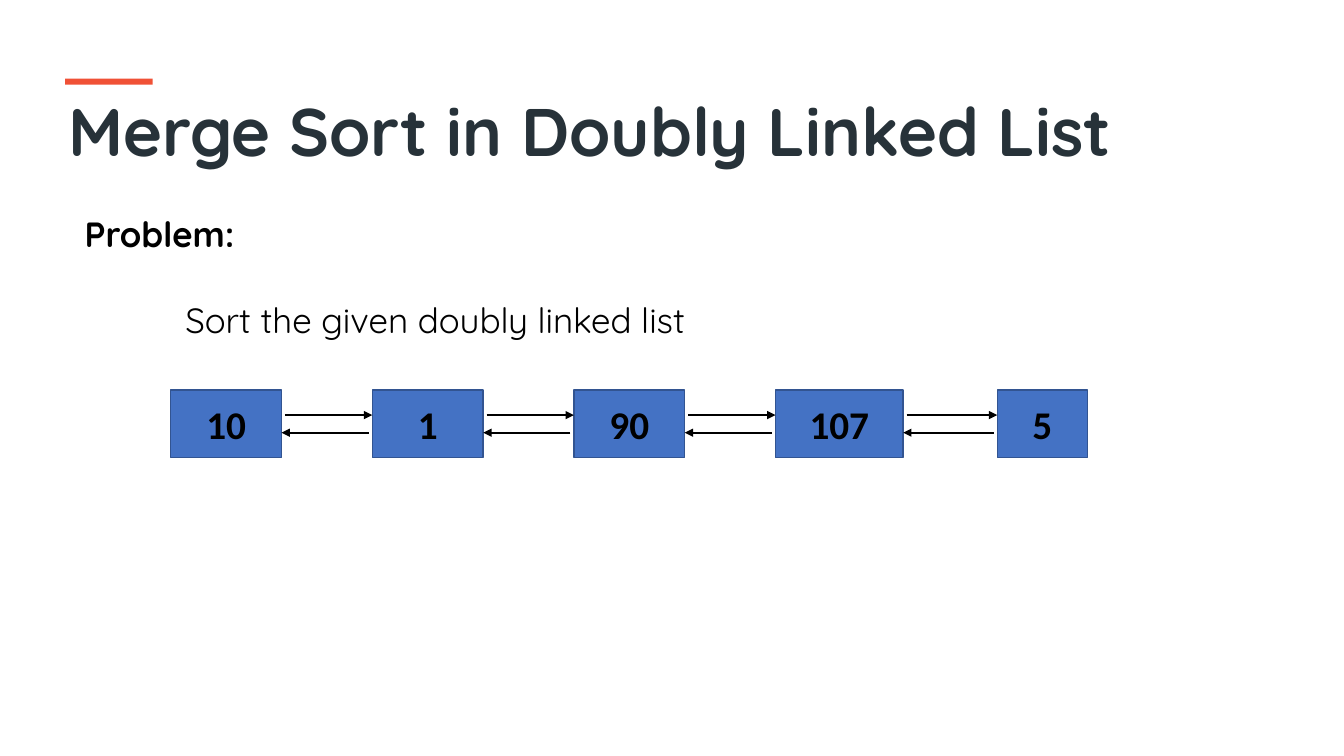
import itertools

import pptx
import pptx.chart.data
import pptx.dml.color
import pptx.enum.shapes
import pptx.enum.text
import pptx.oxml
import pptx.oxml.ns
import pptx.util

HUES = {"title": "273239", "bar": "F05136", "node": "4472C4", "edge": "325491", "ink": "000000"}
WIDE, HIGH = pptx.util.Inches(13.33), pptx.util.Inches(7.5)
NODES = [("10", 0, 8.25), ("1", 15, 8.25), ("90", 30, 8.25), ("107", 45, 9.5), ("5", 61.5, 6.7)]


def hue(name):
    return pptx.dml.color.RGBColor.from_string(HUES[name])


def place(x, y, w, h):
    return [round(size * part / 100) for size, part in zip((WIDE, HIGH, WIDE, HIGH), (x, y, w, h))]


def style(par, face, size, tone, bold=True):
    for run in par.runs:
        run.font.name = face
        run.font.size = pptx.util.Pt(size)
        run.font.bold = bold
        run.font.color.rgb = hue(tone)


def block(slide, box, fill, edge=None):
    shape = slide.shapes.add_shape(pptx.enum.shapes.MSO_SHAPE.RECTANGLE, *place(*box))
    shape.shadow.inherit = False
    shape.fill.solid()
    shape.fill.fore_color.rgb = hue(fill)
    if edge:
        shape.line.color.rgb = hue(edge)
        shape.line.width = pptx.util.Pt(1)
    else:
        shape.line.fill.background()
    return shape


def write(slide, box, text):
    frame = slide.shapes.add_textbox(*place(*box)).text_frame
    frame.word_wrap = True
    frame.text = text
    return frame


def header(slide, box):
    x, y, w, h = box
    block(slide, (x + 0.5, y, 6.5, 0.8), "bar")
    frame = write(slide, (x, y + 0.8, w, h - 0.8), "Merge Sort in Doubly Linked List")
    style(frame.paragraphs[0], "Quicksand", 48, "title")


def problem(slide, box):
    frame = write(slide, box, "Problem:\nSort the given doubly linked list")
    head, task = frame.paragraphs
    style(head, "Quicksand", 25, "ink")
    style(task, "Quicksand", 25, "ink", False)
    task.space_before = pptx.util.Pt(31)
    props = task._p.get_or_add_pPr()
    props.set("marL", str(pptx.util.Inches(1)))
    props.set("indent", "0")


def arrow(slide, start, end, y):
    left, top, right, low = place(start, y, end, y)
    line = slide.shapes.add_connector(pptx.enum.shapes.MSO_CONNECTOR.STRAIGHT, left, top, right, low)
    line.line.color.rgb = hue("ink")
    line.line.width = pptx.util.Pt(1.5)
    tip = pptx.oxml.parse_xml(f'<a:tailEnd {pptx.oxml.ns.nsdecls("a")} type="triangle"/>')
    line.line._get_or_add_ln().append(tip)
    flat = pptx.oxml.parse_xml(f'<a:effectLst {pptx.oxml.ns.nsdecls("a")}/>')
    line._element.spPr.append(flat)


def chain(slide, box):
    x, y, w, h = box
    for text, left, width in NODES:
        node = block(slide, (x + left, y, width, h), "node", "edge")
        frame = node.text_frame
        frame.text = text
        frame.vertical_anchor = pptx.enum.text.MSO_ANCHOR.MIDDLE
        frame.paragraphs[0].alignment = pptx.enum.text.PP_ALIGN.CENTER
        style(frame.paragraphs[0], "Calibri", 28, "ink")
    for (_, left, width), (_, after, _) in itertools.pairwise(NODES):
        start, end = x + left + width, x + after
        arrow(slide, start + 0.25, end, y + 0.37 * h)
        arrow(slide, end - 0.25, start, y + 0.63 * h)


def main():
    deck = pptx.Presentation()
    deck.slide_width, deck.slide_height = WIDE, HIGH
    slide = deck.slides.add_slide(deck.slide_layouts[6])
    header(slide, (4.35, 10.4, 91.35, 13))
    problem(slide, (5.55, 27.5, 91, 20))
    chain(slide, (12.7, 51.6, 68.2, 8.95))
    deck.save("out.pptx")


if __name__ == "__main__":
    main()
